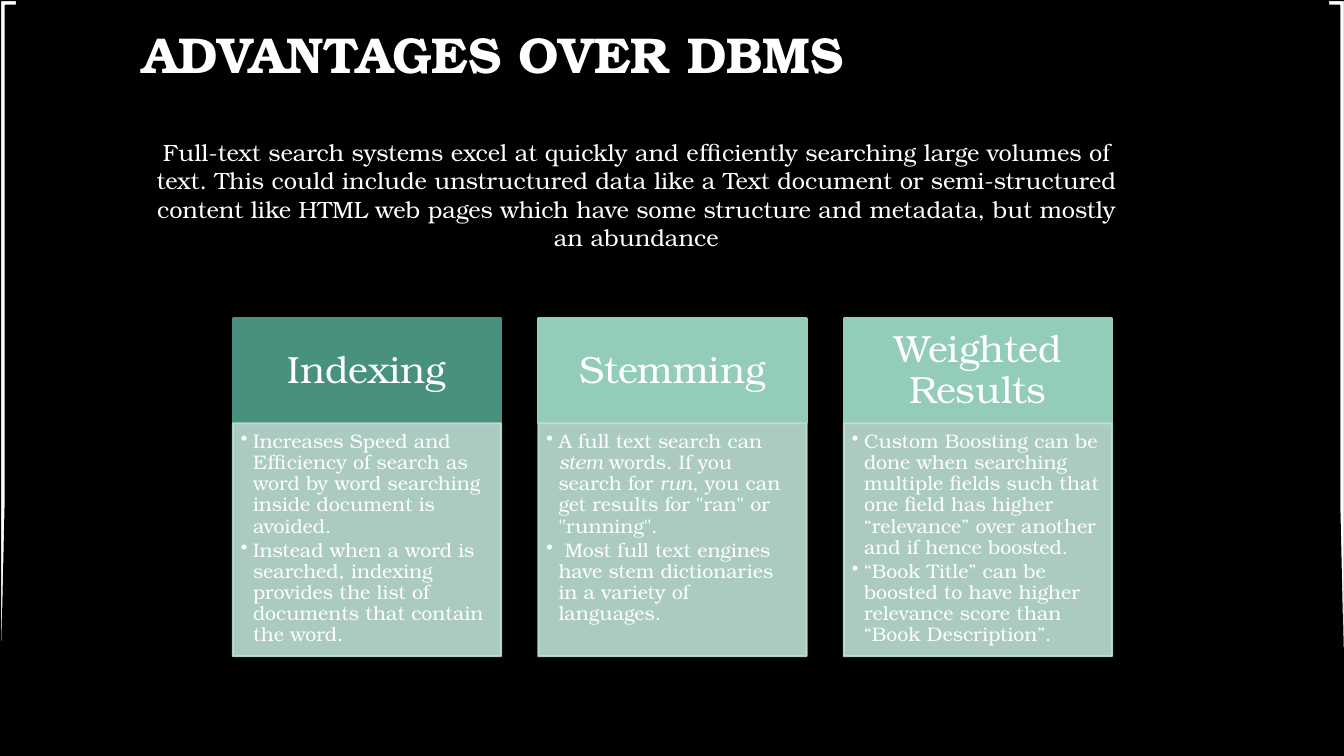
from lxml import etree
from pptx import Presentation
from pptx.dml.color import RGBColor as RGB
from pptx.enum.shapes import MSO_SHAPE as Shape
from pptx.enum.text import MSO_ANCHOR as Anchor, PP_ALIGN as Align
from pptx.oxml.ns import qn
from pptx.util import Emu, Pt

PX = 9144  # 100 px to the inch
FONT = "TeX Gyre Bonum"
HEX = {"black": "000000", "white": "FFFFFF", "deep": "47917E",
       "mint": "94CCBB", "pale": "BEE1D6"}

INTRO = ("Full-text search systems excel at quickly and efficiently searching "
         "large volumes of text. This could include unstructured data like a "
         "Text document or semi-structured content like HTML web pages which "
         "have some structure and metadata, but mostly an abundance")

# Heading, heading colour, bullets; asterisks enclose italics.
CARDS = [
    ("Indexing", "deep", [
        "Increases Speed and Efficiency of search as word by word searching "
        "inside document is avoided.",
        "Instead when a word is searched, indexing provides the list of "
        "documents that contain the word."]),
    ("Stemming", "mint", [
        "A full text search can *stem* words. If you search for *run*, "
        "you can get results for \"ran\" or \"running\".",
        " Most full text engines have stem dictionaries in a variety of "
        "languages."]),
    ("Weighted Results", "mint", [
        "Custom Boosting can be done when searching multiple fields such that "
        "one field has higher “relevance” over another and if hence boosted.",
        "“Book Title” can be boosted to have higher relevance score than "
        "“Book Description”."]),
]
LEFT, STEP, WIDE = 231, 303, 266
TOP, HEAD, BODY = 316, 104, 231


def px(n):
    return Emu(n * PX)


def color(name):
    return RGB.from_string(HEX[name])


def fade(shape, pct):
    """Make the fill and the line of a shape partly see-through."""
    for tone in shape.element.spPr.iter(qn("a:srgbClr")):
        etree.SubElement(tone, qn("a:alpha"), val=str(pct * 1000))


def add_box(slide, kind, box, fill, line):
    shape = slide.shapes.add_shape(kind, *map(px, box))
    shape.shadow.inherit = False
    shape.fill.solid()
    shape.fill.fore_color.rgb = color(fill)
    shape.line.color.rgb = color(line)
    shape.line.width = Pt(1.5)
    return shape


def set_frame(frame, pads, anchor):
    """Set wrapping, anchor and the left, top, right and bottom insets."""
    frame.word_wrap = True
    frame.vertical_anchor = anchor
    (frame.margin_left, frame.margin_top,
     frame.margin_right, frame.margin_bottom) = map(px, pads)


def set_text(para, text, size, align=Align.CENTER, bold=False, space=0.9):
    for i, part in enumerate(text.split("*")):
        run = para.add_run()
        run.text = part
        if i % 2:
            run.font.italic = True
    para.alignment = align
    para.line_spacing = space
    font = para.font
    font.name, font.size, font.bold = FONT, Pt(size), bold
    font.color.rgb = color("white")


def add_bullet(para):
    props = para._p.get_or_add_pPr()
    props.set("marL", str(px(12)))
    props.set("indent", str(px(-12)))
    mark = etree.Element(qn("a:buChar"), char="•")
    props.find(qn("a:defRPr")).addprevious(mark)


def add_label(slide, box, pads, anchor, text, size, **style):
    frame = slide.shapes.add_textbox(*map(px, box)).text_frame
    set_frame(frame, pads, anchor)
    set_text(frame.paragraphs[0], text, size, **style)


def add_card(slide, left, title, tone, items):
    head = add_box(slide, Shape.RECTANGLE, (left, TOP, WIDE, HEAD), tone, tone)
    set_frame(head.text_frame, (21, 12, 21, 12), Anchor.MIDDLE)
    set_text(head.text_frame.paragraphs[0], title, 27)

    body = add_box(slide, Shape.RECTANGLE, (left, TOP + HEAD, WIDE, BODY),
                   "pale", "pale")
    fade(body, 90)
    frame = body.text_frame
    set_frame(frame, (8, 8, 11, 12), Anchor.TOP)
    for i, item in enumerate(items):
        para = frame.add_paragraph() if i else frame.paragraphs[0]
        set_text(para, item, 14, Align.LEFT)
        para.space_after = Pt(2)
        add_bullet(para)


def add_edge(slide, left, high, flip=False):
    edge = add_box(slide, Shape.HALF_FRAME, (left, 0, 17, high),
                   "white", "black")
    if flip:
        edge.rotation = 180
        edge.element.spPr.find(qn("a:xfrm")).set("flipV", "1")


def main():
    deck = Presentation()
    deck.slide_width, deck.slide_height = px(1333), px(750)
    slide = deck.slides.add_slide(deck.slide_layouts[6])
    back = slide.background.fill
    back.solid()
    back.fore_color.rgb = color("black")

    add_label(slide, (62, 64, 854, 80), (10, 0, 10, 67), Anchor.BOTTOM,
              "ADVANTAGES OVER DBMS", 36, bold=True)
    add_label(slide, (139, 132, 984, 132), (10, 5, 10, 5), Anchor.TOP,
              INTRO, 16.8, space=1.0)
    for i, card in enumerate(CARDS):
        add_card(slide, LEFT + i * STEP, *card)
    add_edge(slide, 0, 750)
    add_edge(slide, 1317, 757, flip=True)
    deck.save("out.pptx")


if __name__ == "__main__":
    main()
